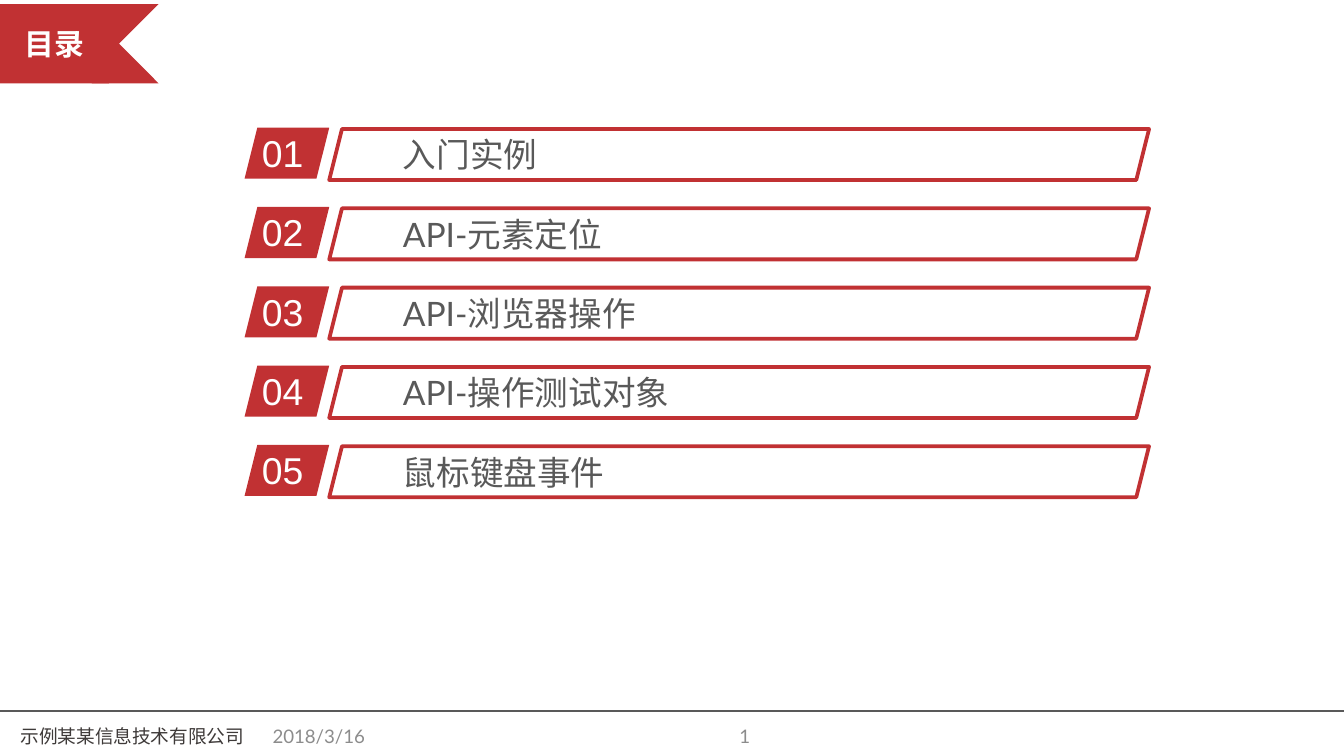
from lxml.etree import SubElement
from pptx import Presentation
from pptx.dml.color import RGBColor
from pptx.enum.shapes import MSO_CONNECTOR, MSO_SHAPE
from pptx.enum.text import MSO_ANCHOR, PP_ALIGN
from pptx.oxml.ns import qn
from pptx.util import Inches, Pt

COLORS = {"red": "C13133", "white": "FFFFFF", "entry": "595959",
          "company": "3E3A39", "muted": "8C8C8C"}
TITLE = "目录"
ENTRIES = ["入门实例", "API-元素定位", "API-浏览器操作", "API-操作测试对象", "鼠标键盘事件"]
FOOTERS = [
    ("2018/3/16", 1.93, 2.33, "muted", PP_ALIGN.LEFT),
    ("示例某某信息技术有限公司", -0.83, 3.63, "company", PP_ALIGN.CENTER),
    ("1", 3.35, 2.33, "muted", PP_ALIGN.RIGHT),
]
FIRST_TOP, ROW_STEP, ROW_HEIGHT = 0.95, 0.59, 0.38

presentation = Presentation()
presentation.slide_width = Inches(10)
presentation.slide_height = Inches(10 * 9 / 16)
slide = presentation.slides.add_slide(presentation.slide_layouts[6])


def color(name):
    return RGBColor.from_string(COLORS[name])


def add_filled(kind, left, top, width, height, fill="red"):
    shape = slide.shapes.add_shape(
        kind, Inches(left), Inches(top), Inches(width), Inches(height))
    shape.shadow.inherit = False
    shape.fill.solid()
    shape.fill.fore_color.rgb = color(fill)
    shape.line.fill.background()
    return shape


def add_box(left, top, width, height):
    return slide.shapes.add_textbox(
        Inches(left), Inches(top), Inches(width), Inches(height))


def write(shape, text, size, font, color_name, align=PP_ALIGN.LEFT,
          anchor=MSO_ANCHOR.MIDDLE, bold=False):
    frame = shape.text_frame
    frame.word_wrap = True
    frame.vertical_anchor = anchor
    paragraph = frame.paragraphs[0]
    paragraph.alignment = align
    run = paragraph.add_run()
    run.text = text
    run.font.size = Pt(size)
    run.font.name = font
    run.font.bold = bold
    run.font.color.rgb = color(color_name)
    return paragraph


footer_line = slide.shapes.add_connector(
    MSO_CONNECTOR.STRAIGHT, 0, Inches(5.29), Inches(10), Inches(5.29))
footer_line.line.color.rgb = color("entry")
footer_line.line.width = Pt(0.75)
SubElement(footer_line._element.spPr, qn("a:effectLst"))

ribbon_tail = add_filled(MSO_SHAPE.CHEVRON, 0.39, 0.03, 0.79, 0.59)
ribbon_tail._element.spPr.find(qn("a:xfrm")).set("flipH", "1")
ribbon = add_filled(MSO_SHAPE.RECTANGLE, 0, 0.03, 0.81, 0.59)
write(ribbon, TITLE, 16, "Arial", "white", PP_ALIGN.CENTER, bold=True)

for text, left, width, color_name, align in FOOTERS:
    write(add_box(left, 5.33, width, 0.3), text, 10, "Lato", color_name, align)

for index, entry in enumerate(ENTRIES):
    top = FIRST_TOP + index * ROW_STEP
    bar = add_filled(MSO_SHAPE.PARALLELOGRAM, 2.45, top + 0.01, 6.1, ROW_HEIGHT, "white")
    fill_color = bar._element.spPr.find(qn("a:solidFill")).find(qn("a:srgbClr"))
    SubElement(fill_color, qn("a:alpha")).set("val", "70000")
    bar.line.color.rgb = color("red")
    bar.line.width = Pt(2)
    bar.text_frame.margin_left = bar.text_frame.margin_right = 0
    write(bar, entry, 18, "Lato", "entry")

    add_filled(MSO_SHAPE.PARALLELOGRAM, 1.82, top, 0.63, ROW_HEIGHT)
    number = write(add_box(1.85, top - 0.03, 0.87, 0.35), f"{index + 1:02d}",
                   20, "Arial", "white", anchor=MSO_ANCHOR.TOP)
    number.space_before = Pt(2)

presentation.save("out.pptx")
